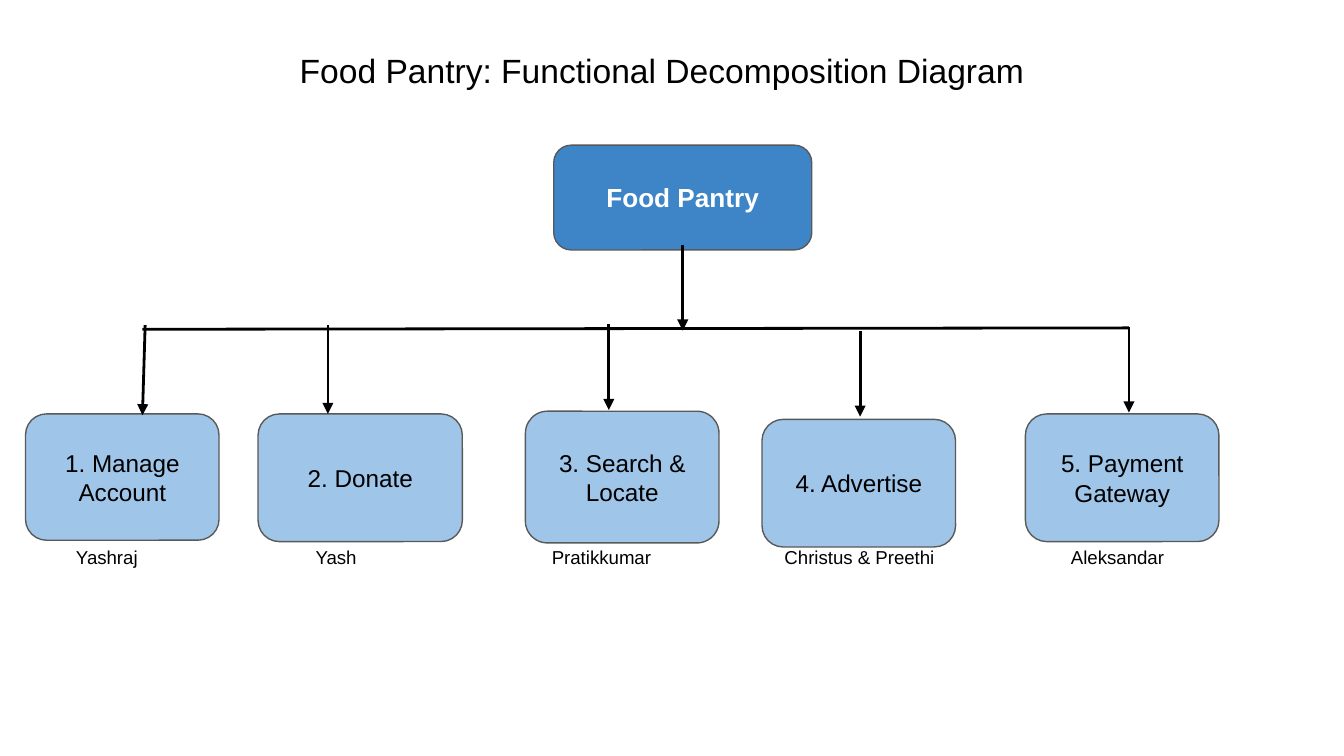
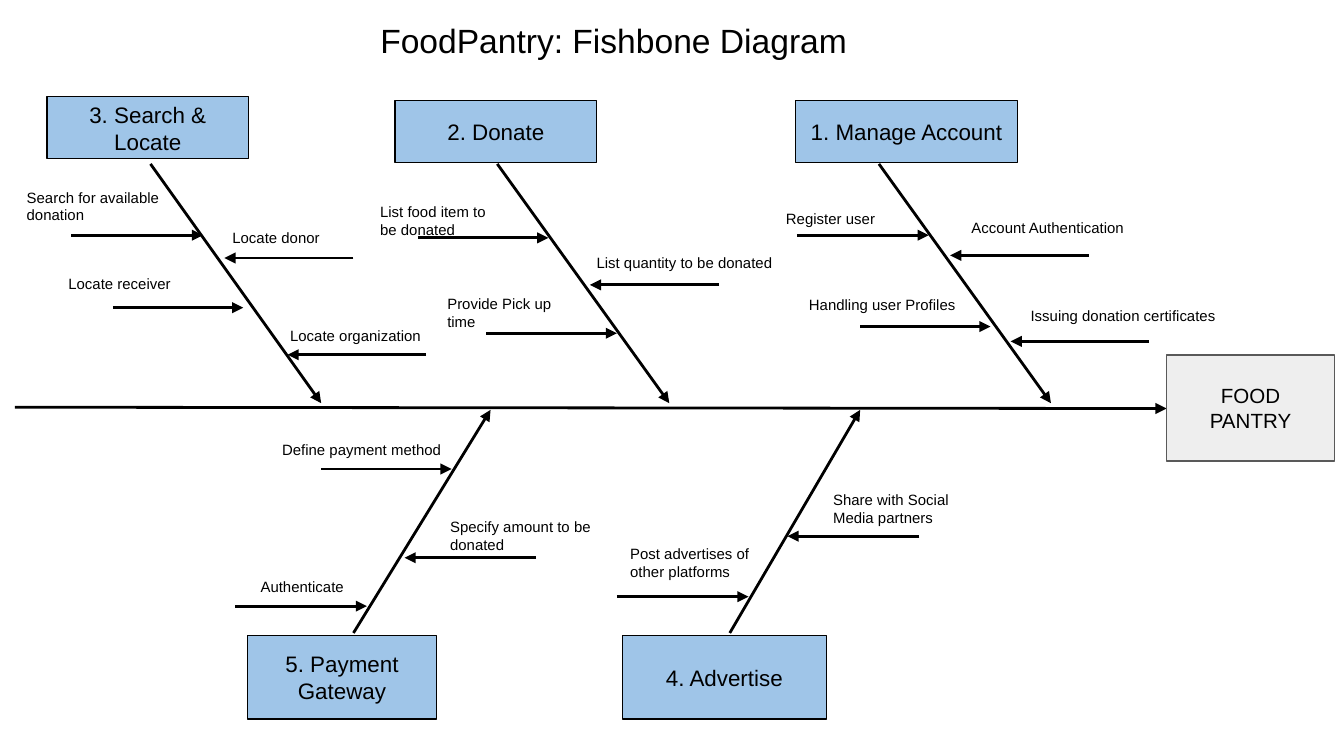
from dataclasses import dataclass

from lxml.etree import SubElement
from pptx import Presentation
from pptx.dml.color import RGBColor
from pptx.enum.shapes import MSO_CONNECTOR, MSO_SHAPE
from pptx.enum.text import MSO_ANCHOR, MSO_AUTO_SIZE, PP_ALIGN
from pptx.oxml.ns import qn
from pptx.util import Pt

SCALE = 9144
SLIDE_WIDTH = 1000


@dataclass(frozen=True)
class Theme:
    font: str = "Arial"
    ink: str = "000000"
    white: str = "FFFFFF"
    root_fill: str = "3D85C6"
    branch_fill: str = "9FC5E8"
    goal_fill: str = "EEEEEE"
    soft_line: str = "595959"
    title_size: int = 18
    root_size: int = 14
    function_size: int = 13
    category_size: int = 12
    goal_size: int = 11
    person_size: int = 10
    cause_size: int = 8
    outline: float = 0.75
    stroke: float = 1.5
    inset: int = 10
    title_inset: int = 5


THEME = Theme()

DECOMPOSITION = {
    "title": ("Food Pantry: Functional Decomposition Diagram", (213, 32, 564, 40)),
    "root": ("Food Pantry", (412, 108, 192, 78)),
    "stem": ((508, 182), (508, 246)),
    "bus": ((106, 245), (840, 244)),
    "person_row": (396, 32),
    "functions": [
        ("1. Manage Account", (19, 308, 144, 94), ((108, 242), (106, 309)), "Yashraj", 11, 137),
        ("2. Donate", (192, 308, 152, 95), ((244, 242), (244, 308)), "Yash", 174, 152),
        ("3. Search & Locate", (391, 306, 144, 98), ((453, 241), (453, 305)), "Pratikkumar", 379, 137),
        ("4. Advertise", (567, 312, 144, 95), ((640, 246), (640, 310)), "Christus & Preethi", 571, 137),
        ("5. Payment Gateway", (763, 308, 144, 95), ((840, 243), (840, 307)), "Aleksandar", 763, 137),
    ],
}

FISHBONE = {
    "title": ("FoodPantry: Fishbone Diagram", (273, 10, 403, 40)),
    "goal": ("FOOD PANTRY", (868, 264, 125, 79)),
    "spine": ((11, 303), (868, 304)),
    "categories": [
        ("3. Search & Locate", (35, 72, 150, 46), ((112, 122), (239, 300)), [
            ("Search for available donation", (10, 130, 128, 47), (53, 151, 175)),
            ("Locate donor", (163, 160, 165, 34), (263, 167, 192)),
            ("Locate receiver", (41, 194, 165, 34), (84, 181, 229)),
            ("Locate organization", (206, 233, 165, 34), (317, 214, 264)),
        ]),
        ("2. Donate", (294, 75, 150, 46), ((370, 122), (498, 300)), [
            ("List food item to be donated", (273, 141, 107, 47), (311, 408, 177)),
            ("List quantity to be donated", (434, 179, 165, 48), (535, 439, 212)),
            ("Provide Pick up time", (323, 209, 107, 47), (362, 459, 248)),
        ]),
        ("1. Manage Account", (592, 75, 165, 46), ((654, 122), (782, 300)), [
            ("Register user", (575, 146, 133, 34), (593, 691, 175)),
            ("Account Authentication", (713, 153, 152, 34), (810, 707, 190)),
            ("Handling user Profiles", (592, 210, 165, 34), (640, 737, 243)),
            ("Issuing donation certificates", (757, 218, 220, 34), (855, 752, 254)),
        ]),
        ("5. Payment Gateway", (184, 473, 141, 62), ((263, 471), (365, 305)), [
            ("Define payment method", (200, 318, 165, 48), (239, 336, 349)),
            ("Specify amount to be donated", (325, 375, 128, 48), (399, 301, 415)),
            ("Authenticate", (184, 420, 128, 48), (175, 273, 451)),
        ]),
        ("4. Advertise", (463, 473, 152, 62), ((543, 471), (640, 305)), [
            ("Share with Social Media partners", (610, 355, 128, 48), (684, 586, 399)),
            ("Post advertises of other platforms", (459, 395, 128, 48), (459, 557, 444)),
        ]),
    ],
}


def px(*lengths):
    return [length * SCALE for length in lengths]


def color(value):
    return RGBColor.from_string(value)


def write(shape, text, size, ink=THEME.ink, bold=False, align=PP_ALIGN.LEFT,
          anchor=MSO_ANCHOR.TOP, vertical_inset=THEME.inset):
    frame = shape.text_frame
    frame.text = text
    frame.word_wrap = True
    frame.auto_size = MSO_AUTO_SIZE.NONE
    frame.vertical_anchor = anchor
    frame.margin_left, frame.margin_right = px(THEME.inset, THEME.inset)
    frame.margin_top, frame.margin_bottom = px(vertical_inset, vertical_inset)
    paragraph = frame.paragraphs[0]
    paragraph.alignment = align
    for run in paragraph.runs:
        run.font.name = THEME.font
        run.font.size = Pt(size)
        run.font.bold = bold
        run.font.color.rgb = color(ink)


def add_titled_slide(presentation, title, place):
    slide = presentation.slides.add_slide(presentation.slide_layouts[5])
    shape = slide.shapes.title
    shape.left, shape.top, shape.width, shape.height = px(*place)
    write(shape, title, THEME.title_size, vertical_inset=THEME.title_inset)
    return slide


def add_box(slide, kind, text, place, fill, line, size, **style):
    shape = slide.shapes.add_shape(kind, *px(*place))
    shape.shadow.inherit = False
    shape.fill.solid()
    shape.fill.fore_color.rgb = color(fill)
    shape.line.color.rgb = color(line)
    shape.line.width = Pt(THEME.outline)
    write(shape, text, size, align=PP_ALIGN.CENTER, anchor=MSO_ANCHOR.MIDDLE, **style)


def add_label(slide, text, place, size, align=PP_ALIGN.LEFT):
    write(slide.shapes.add_textbox(*px(*place)), text, size, align=align)


def add_line(slide, start, end, arrow=True):
    connector = slide.shapes.add_connector(MSO_CONNECTOR.STRAIGHT, *px(*start, *end))
    connector.line.color.rgb = color(THEME.ink)
    connector.line.width = Pt(THEME.stroke)
    properties = connector.element.spPr
    if arrow:
        SubElement(properties.find(qn("a:ln")), qn("a:tailEnd"), type="triangle")
    SubElement(properties, qn("a:effectLst"))


def build_decomposition(presentation, content):
    slide = add_titled_slide(presentation, *content["title"])
    rounded = MSO_SHAPE.ROUNDED_RECTANGLE
    add_box(slide, rounded, *content["root"], THEME.root_fill, THEME.soft_line,
            THEME.root_size, ink=THEME.white, bold=True)
    add_line(slide, *content["stem"])
    add_line(slide, *content["bus"], arrow=False)
    top, height = content["person_row"]
    for name, place, drop, person, left, width in content["functions"]:
        add_box(slide, rounded, name, place, THEME.branch_fill, THEME.soft_line,
                THEME.function_size)
        add_line(slide, *drop)
        add_label(slide, person, (left, top, width, height), THEME.person_size,
                  PP_ALIGN.CENTER)


def build_fishbone(presentation, content):
    slide = add_titled_slide(presentation, *content["title"])
    add_line(slide, *content["spine"])
    add_box(slide, MSO_SHAPE.RECTANGLE, *content["goal"], THEME.goal_fill,
            THEME.soft_line, THEME.goal_size)
    for name, place, bone, causes in content["categories"]:
        add_line(slide, *bone)
        add_box(slide, MSO_SHAPE.RECTANGLE, name, place, THEME.branch_fill, THEME.ink,
                THEME.category_size)
        for cause, label_place, (start, tip, level) in causes:
            add_line(slide, (start, level), (tip, level))
            add_label(slide, cause, label_place, THEME.cause_size)


def main():
    presentation = Presentation()
    presentation.slide_width = SLIDE_WIDTH * SCALE
    presentation.slide_height = presentation.slide_width * 9 // 16
    build_decomposition(presentation, DECOMPOSITION)
    build_fishbone(presentation, FISHBONE)
    presentation.save("out.pptx")


if __name__ == "__main__":
    main()
